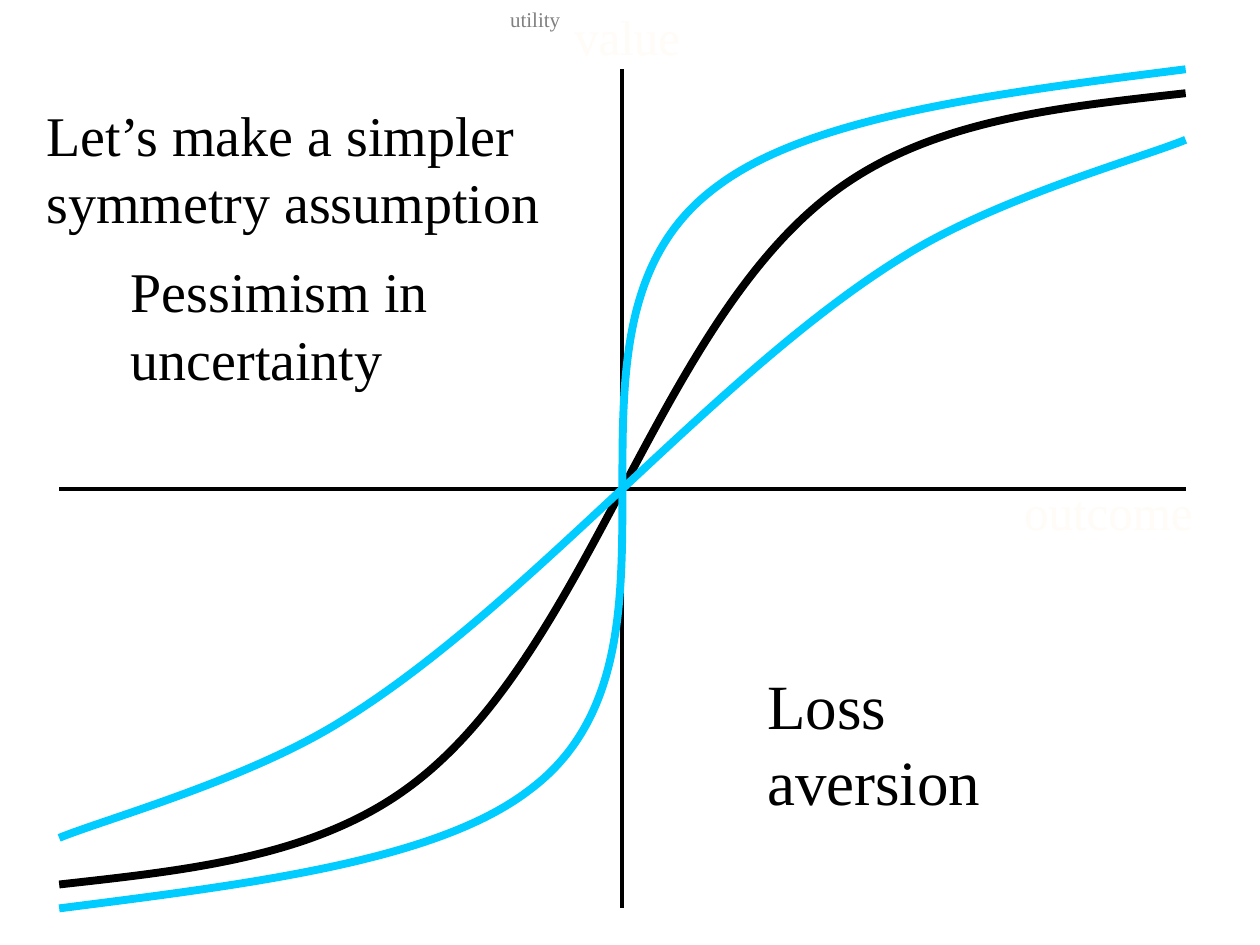
from lxml.etree import SubElement
from pptx import Presentation
from pptx.dml.color import RGBColor as RGB
from pptx.enum.shapes import MSO_CONNECTOR as Link
from pptx.oxml.ns import qn
from pptx.util import Inches as In, Pt

THEME = dict(font="Times New Roman", ink="000000", curve="00CCFF", pale="FFFBF7",
             gray="808080", small=12, label=28, body=32, big=36, thin=2.25, thick=4.5)
WIDE, HIGH = 10, 7.5
MID = (4.94, 3.88)   # where the axes cross
REACH = (4.47, 3.33)  # half length of each axis

# Bezier points right of and above the crossing; the other half is its mirror
MEAN = [(0.5, 0.94), (1, 1.88), (1.74, 2.4), (2.49, 2.93), (3.48, 3.03), (4.47, 3.14)]
LOW = [(0.75, 0.7), (1.49, 1.39), (2.24, 1.85), (2.98, 2.31), (4.1, 2.62), (4.47, 2.77)]
TOP = [(0, 0.93), (0, 1.85), (0.75, 2.4), (1.49, 2.96), (2.98, 3.14), (4.47, 3.33)]

# text, left, top, width, height, size, colour
TEXTS = [
    ("Pessimism in uncertainty", 0.94, 1.99, 3.03, 1.18, "body", "ink"),
    ("utility", 3.95, 0, 1.99, 0.66, "small", "gray"),
    ("value", 4.46, 0, 1.5, 0.57, "label", "pale"),
    ("outcome", 8.03, 3.77, 2.99, 0.57, "label", "pale"),
    ("Loss aversion", 5.99, 5.24, 2.86, 1.32, "big", "ink"),
    ("Let’s make a simpler symmetry assumption", 0.27, 0.75, 4.61, 1.18, "body", "ink"),
]


def paint(line, color, width):
    line.color.rgb = RGB.from_string(THEME[color])
    line.width = Pt(THEME[width])


def add_axis(shapes, dx, dy):
    x, y = MID
    axis = shapes.add_connector(Link.STRAIGHT, In(x - dx), In(y - dy), In(x + dx), In(y + dy))
    paint(axis.line, "ink", "thin")
    SubElement(axis._element.spPr, qn("a:effectLst"))


def add_curve(shapes, points, color, side):
    """Draw one half: side 1 is right of the crossing, -1 its mirror."""
    x, y = MID
    spots = [(In(x + side * dx), In(y - side * dy)) for dx, dy in points]
    pen = shapes.build_freeform(In(x), In(y))
    pen.add_line_segments(spots, close=False)
    curve = pen.convert_to_shape()
    # Every three straight segments become one cubic Bezier
    route = curve._element.find(".//" + qn("a:path"))
    for n, seg in enumerate(route.findall(qn("a:lnTo"))):
        if n % 3 == 0:
            bend = SubElement(route, qn("a:cubicBezTo"))
        bend.append(seg[0])
        route.remove(seg)
    curve.fill.background()
    paint(curve.line, color, "thick")
    curve.shadow.inherit = False


def add_text(shapes, text, *, left, top, width, height, size, color):
    frame = shapes.add_textbox(In(left), In(top), In(width), In(height)).text_frame
    frame.word_wrap = True
    par = frame.paragraphs[0]
    run = par.add_run()
    run.text = text
    run.font.name = THEME["font"]
    run.font.size = Pt(THEME[size])
    run.font.color.rgb = RGB.from_string(THEME[color])


def main():
    deck = Presentation()
    deck.slide_width, deck.slide_height = In(WIDE), In(HIGH)
    shapes = deck.slides.add_slide(deck.slide_layouts[6]).shapes
    for side in (1, -1):
        add_curve(shapes, MEAN, "ink", side)
    add_axis(shapes, 0, REACH[1])
    add_axis(shapes, REACH[0], 0)
    for points in (LOW, TOP):
        for side in (1, -1):
            add_curve(shapes, points, "curve", side)
    for text, left, top, width, height, size, color in TEXTS:
        add_text(shapes, text, left=left, top=top, width=width, height=height,
                 size=size, color=color)
    deck.save("out.pptx")


if __name__ == "__main__":
    main()
